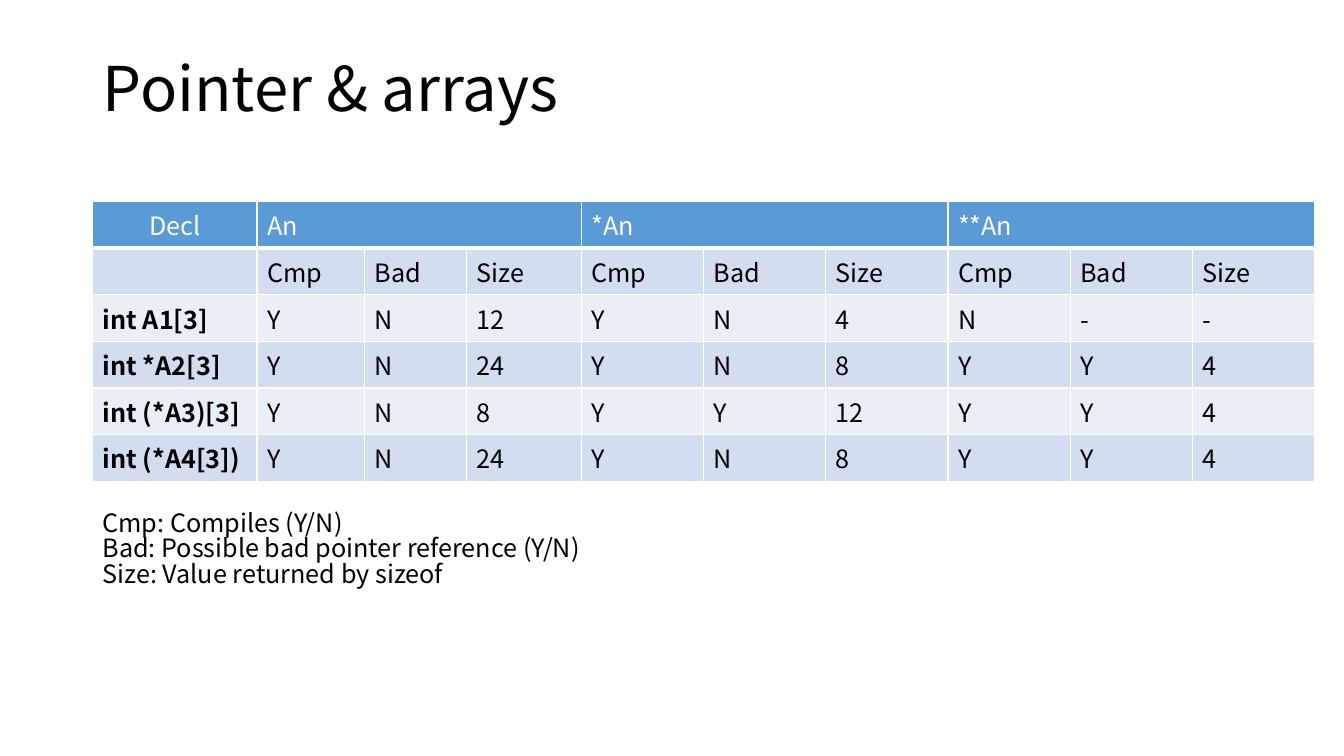
import pptx
import pptx.dml.color
import pptx.enum.text
import pptx.oxml
import pptx.oxml.ns
import pptx.util
from dataclasses import dataclass

Pt = pptx.util.Pt
Align = pptx.enum.text.PP_ALIGN
Anchor = pptx.enum.text.MSO_ANCHOR
AutoSize = pptx.enum.text.MSO_AUTO_SIZE


@dataclass(frozen=True)
class Theme:
    font: str = "Noto Sans CJK SC"
    title_size: int = 44
    body_size: int = 18
    ink: str = "000000"
    paper: str = "FFFFFF"
    header: str = "5B9BD5"
    bands: tuple = ("EAEFF7", "D2DEEF")


THEME = Theme()
LEFT = 66.2
GROUPS = ("An", "*An", "**An")
MEASURES = ("Cmp", "Bad", "Size")
COLUMN_WIDTHS = [117.4, 77, 72.7, 82.1] + [87.3] * 6
ROW_HEIGHT = 29.4
DECLARATIONS = (
    ("int A1[3]", "Y N 12 Y N 4 N - -"),
    ("int *A2[3]", "Y N 24 Y N 8 Y Y 4"),
    ("int (*A3)[3]", "Y N 8 Y Y 12 Y Y 4"),
    ("int (*A4[3])", "Y N 24 Y N 8 Y Y 4"),
)
LEGEND = (
    "Cmp: Compiles (Y/N)",
    "Bad: Possible bad pointer reference (Y/N)",
    "Size: Value returned by sizeof",
)


def color(value):
    return pptx.dml.color.RGBColor.from_string(value)


def write(frame, *lines, size=THEME.body_size, ink=THEME.ink, bold=False,
          align=Align.LEFT, spacing=None):
    for index, line in enumerate(lines):
        para = frame.paragraphs[0] if index == 0 else frame.add_paragraph()
        para.alignment = align
        para.line_spacing = spacing
        para.font.size = Pt(size)
        span = para.add_run()
        span.text = line
        span.font.name = THEME.font
        span.font.size = Pt(size)
        span.font.bold = bold
        span.font.color.rgb = color(ink)


def place(shape, left, top, width, height):
    shape.left, shape.top = Pt(left), Pt(top)
    shape.width, shape.height = Pt(width), Pt(height)


def add_title(page, text):
    title = page.shapes.title
    place(title, LEFT, 28.8, 828, 72.7)
    title.text_frame.auto_size = AutoSize.NONE
    title.text_frame.vertical_anchor = Anchor.MIDDLE
    write(title.text_frame, text, size=THEME.title_size, spacing=0.9)


def set_borders(cell, bottom):
    properties = cell._tc.get_or_add_tcPr()
    sides = (("lnL", 1), ("lnR", 1), ("lnT", 1), ("lnB", bottom))
    for position, (side, width) in enumerate(sides):
        line = pptx.oxml.parse_xml(
            f'<a:{side} {pptx.oxml.ns.nsdecls("a")} w="{Pt(width)}"><a:solidFill>'
            f'<a:srgbClr val="{THEME.paper}"/></a:solidFill></a:{side}>')
        properties.insert(position, line)


def style_cell(cell, fill, bottom=1):
    cell.fill.solid()
    cell.fill.fore_color.rgb = color(fill)
    set_borders(cell, bottom)


def add_table(page):
    rows = [["Decl"] + [text for group in GROUPS for text in (group, "", "")],
            [""] + list(MEASURES) * len(GROUPS)]
    rows += [[name] + values.split() for name, values in DECLARATIONS]
    table = page.shapes.add_table(
        len(rows), len(COLUMN_WIDTHS), Pt(LEFT), Pt(144),
        Pt(sum(COLUMN_WIDTHS)), Pt(ROW_HEIGHT * len(rows))).table
    for column, width in zip(table.columns, COLUMN_WIDTHS):
        column.width = Pt(width)
    for row_index, row in enumerate(rows):
        table.rows[row_index].height = Pt(ROW_HEIGHT)
        header = row_index == 0
        fill = THEME.header if header else THEME.bands[row_index % 2]
        for column_index, text in enumerate(row):
            cell = table.cell(row_index, column_index)
            style_cell(cell, fill, bottom=3 if header else 1)
            first = column_index == 0
            if text:
                write(cell.text_frame, text,
                      ink=THEME.paper if header else THEME.ink,
                      bold=first and not header,
                      align=Align.CENTER if first and header else Align.LEFT)
            else:
                cell.text_frame.paragraphs[0].font.size = Pt(THEME.body_size)
    for start in range(1, len(COLUMN_WIDTHS), len(MEASURES)):
        end = start + len(MEASURES) - 1
        table.cell(0, start).merge(table.cell(0, end))


def add_legend(page):
    box = page.shapes.add_textbox(Pt(LEFT), Pt(362.2), Pt(480.2), Pt(72.7))
    box.text_frame.word_wrap = True
    write(box.text_frame, *LEGEND, spacing=0.84)


def main():
    deck = pptx.Presentation()
    deck.slide_width, deck.slide_height = Pt(960), Pt(540)
    page = deck.slides.add_slide(deck.slide_layouts.get_by_name("Title Only"))
    add_title(page, "Pointer & arrays")
    add_table(page)
    add_legend(page)
    deck.save("out.pptx")


if __name__ == "__main__":
    main()
